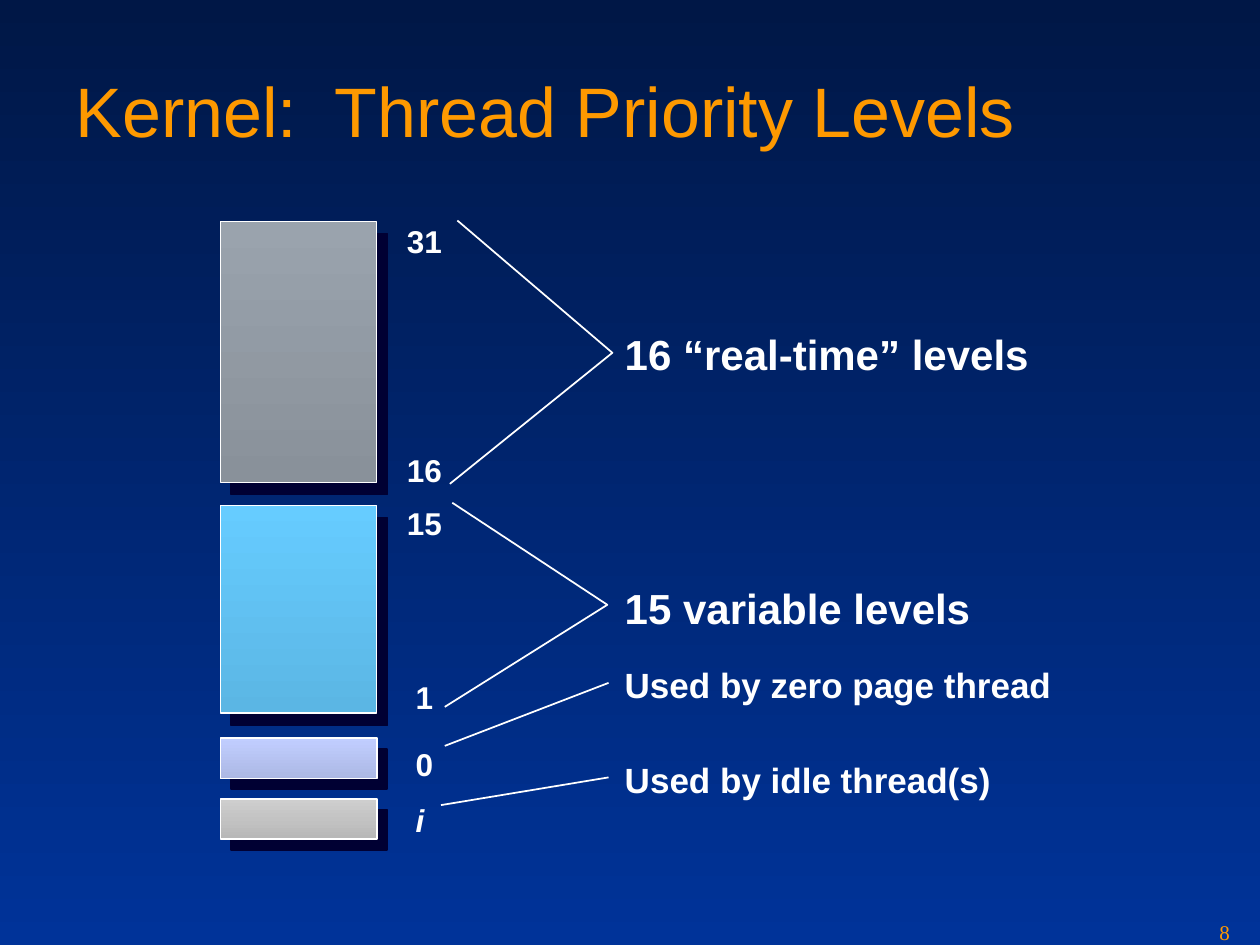
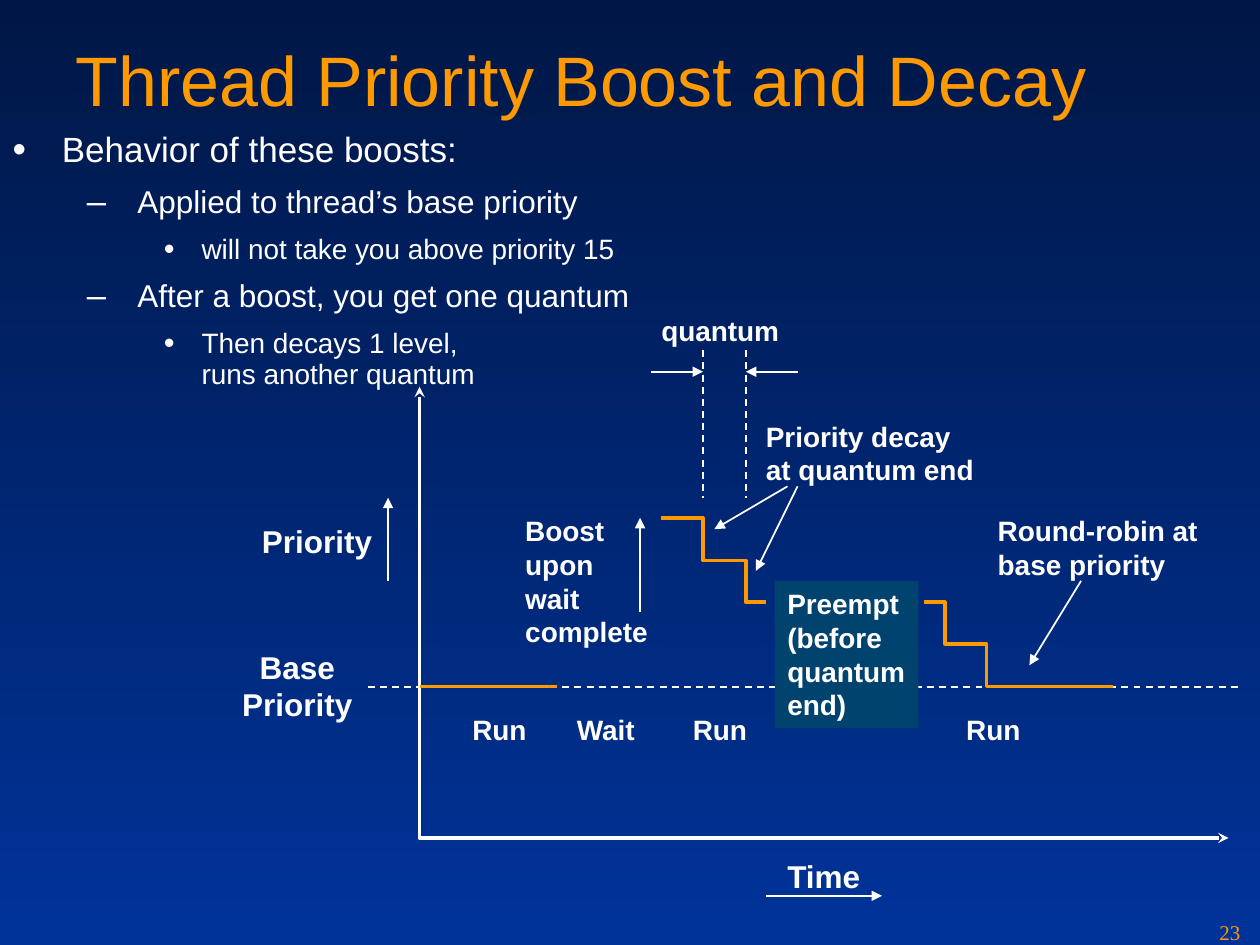
from dataclasses import dataclass
from typing import NamedTuple, Optional

from pptx import Presentation
from pptx.dml.color import RGBColor
from pptx.enum.dml import MSO_LINE
from pptx.enum.shapes import MSO_CONNECTOR as CONNECTOR, MSO_SHAPE as SHAPE
from pptx.enum.text import MSO_ANCHOR as ANCHOR, MSO_AUTO_SIZE as AUTO_SIZE, PP_ALIGN as ALIGN
from pptx.oxml.ns import qn
from pptx.util import Emu, Pt
from lxml.etree import SubElement

PX = 9144  # EMU in one px, 100 px to the inch


def px(length: int) -> Emu:
    return Emu(length * PX)


# Theme and element descriptions
@dataclass(frozen=True)
class Theme:
    font: str = "Arial"
    number_font: str = "Times New Roman"
    page_top: str = "001746"
    page_bottom: str = "003399"
    accent: str = "FE9900"
    white: str = "FFFFFF"
    shadow: str = "000033"
    preempt: str = "00436E"
    title_size: int = 40
    heading_size: int = 24
    note_size: int = 20
    label_size: int = 18
    small_size: int = 16
    number_size: int = 12


THEME = Theme()


class Box(NamedTuple):
    left: int
    top: int
    width: int
    height: int


class Point(NamedTuple):
    x: int
    y: int


@dataclass(frozen=True)
class Label:
    text: str
    box: Box
    size: int = THEME.small_size
    align: ALIGN = ALIGN.LEFT
    anchor: ANCHOR = ANCHOR.TOP
    wrap: bool = False
    bold: bool = True
    italic: bool = False
    color: str = THEME.white
    font: str = THEME.font
    fill: Optional[str] = None


@dataclass(frozen=True)
class Stroke:
    points: list[Point]
    color: str = THEME.white
    width: float = 1
    dashed: bool = False
    head: Optional[str] = None
    tail: Optional[str] = None


class Band(NamedTuple):
    top: int
    height: int
    start: str
    end: str
    line_width: float
    shadow_distance: float
    shadow_angle: int


class Level(NamedTuple):
    size: int
    mark: str
    margin: int
    hanging: int
    space: float


LEVELS = [
    Level(20, "•", 39, 39, 5),
    Level(18, "–", 99, 40, 4.5),
    Level(16, "•", 150, 30, 4),
]


# Drawing functions
def rgb(color: str) -> RGBColor:
    return RGBColor.from_string(color)


def fill_gradient(fill, start: str, end: str) -> None:
    fill.gradient()
    fill.gradient_angle = 270
    for stop, color in zip(fill.gradient_stops, (start, end)):
        stop.color.rgb = rgb(color)


def place(shape, box: Box) -> None:
    shape.left, shape.top, shape.width, shape.height = map(px, box)


def format_font(font, name: str, size: int, color: str) -> None:
    font.name = name
    font.size = Pt(size)
    font.color.rgb = rgb(color)


def add_label(page, label: Label) -> None:
    shape = page.shapes.add_textbox(*map(px, label.box))
    if label.fill:
        shape.fill.solid()
        shape.fill.fore_color.rgb = rgb(label.fill)
    frame = shape.text_frame
    frame.text = label.text
    frame.word_wrap = label.wrap
    frame.vertical_anchor = label.anchor
    for para in frame.paragraphs:
        para.alignment = label.align
        for span in para.runs:
            format_font(span.font, label.font, label.size, label.color)
            span.font.bold = label.bold
            span.font.italic = label.italic


def add_stroke(page, stroke: Stroke) -> None:
    start, *others = stroke.points
    if len(others) == 1:
        shape = page.shapes.add_connector(
            CONNECTOR.STRAIGHT, *map(px, start), *map(px, others[0]))
    else:
        builder = page.shapes.build_freeform(*start, scale=PX)
        builder.add_line_segments(others, close=False)
        shape = builder.convert_to_shape()
        shape.fill.background()
    shape.line.color.rgb = rgb(stroke.color)
    shape.line.width = Pt(stroke.width)
    if stroke.dashed:
        shape.line.dash_style = MSO_LINE.DASH
    properties = shape.element.spPr
    outline = properties.find(qn("a:ln"))
    for tag, kind in (("a:headEnd", stroke.head), ("a:tailEnd", stroke.tail)):
        if kind:
            SubElement(outline, qn(tag), type=kind)
    SubElement(properties, qn("a:effectLst"))


def add_band(page, band: Band) -> None:
    shape = page.shapes.add_shape(
        SHAPE.RECTANGLE, *map(px, Box(175, band.top, 124, band.height)))
    fill_gradient(shape.fill, band.start, band.end)
    shape.line.color.rgb = rgb(THEME.white)
    shape.line.width = Pt(band.line_width)
    shape.shadow.inherit = False
    effects = shape.element.spPr.find(qn("a:effectLst"))
    shadow = SubElement(effects, qn("a:outerShdw"), dist=str(Pt(band.shadow_distance)),
                        dir=str(band.shadow_angle * 60000), algn="ctr", rotWithShape="0")
    SubElement(shadow, qn("a:srgbClr"), val=THEME.shadow)


def add_page(deck, layout: int, title: str, anchor: ANCHOR, number: int):
    page = deck.slides.add_slide(deck.slide_layouts[layout])
    shape = page.shapes.title
    place(shape, Box(50, 24, 900, 125))
    frame = shape.text_frame
    frame.text = title
    frame.auto_size = AUTO_SIZE.NONE
    frame.vertical_anchor = anchor
    para = frame.paragraphs[0]
    para.alignment = ALIGN.LEFT
    format_font(para.runs[0].font, THEME.font, THEME.title_size, THEME.accent)
    add_label(page, Label(str(number), Box(958, 725, 42, 25), THEME.number_size, wrap=True,
                          bold=False, color=THEME.accent, font=THEME.number_font))
    return page


def fill_bullets(shape, items: list[tuple[int, str]]) -> None:
    frame = shape.text_frame
    frame.text = "\n".join(text for _, text in items)
    frame.auto_size = AUTO_SIZE.NONE
    frame.vertical_anchor = ANCHOR.TOP
    for index, (para, (depth, _)) in enumerate(zip(frame.paragraphs, items)):
        level = LEVELS[depth]
        para.level = depth
        properties = para._p.get_or_add_pPr()
        properties.set("marL", str(px(level.margin)))
        properties.set("indent", str(px(-level.hanging)))
        color = SubElement(properties, qn("a:buClr"))
        SubElement(color, qn("a:srgbClr"), val=THEME.white)
        SubElement(properties, qn("a:buSzPct"), val="110000")
        SubElement(properties, qn("a:buFont"), typeface=THEME.font)
        SubElement(properties, qn("a:buChar"), char=level.mark)
        para.alignment = ALIGN.LEFT
        para.line_spacing = 0.9
        para.space_before = Pt(level.space if index else 0)
        para.space_after = Pt(level.space)
        for span in para.runs:
            format_font(span.font, THEME.font, level.size, THEME.white)


# Slides
def build_levels_page(deck) -> None:
    page = add_page(deck, 5, "Kernel:  Thread Priority Levels", ANCHOR.MIDDLE, 8)

    for band in (
        Band(176, 207, "9AA3AD", "89919A", 0.75, 9.2, 49),
        Band(401, 165, "66CCFF", "5BB6E4", 0.75, 9.2, 49),
        Band(586, 32, "C1CEFF", "ACB8E4", 1, 8.5, 45),
        Band(634, 32, "CECECE", "B8B8B8", 1, 8.5, 45),
    ):
        add_band(page, band)

    # Priority numbers beside the bands
    for text, left, top in (("31", 313, 171), ("16", 313, 353), ("15", 313, 395),
                            ("1", 320, 533), ("0", 320, 586), ("i", 320, 631)):
        add_label(page, Label(text, Box(left, top, 58, 40), THEME.label_size,
                              anchor=ANCHOR.MIDDLE, wrap=True, italic=text == "i"))

    # Meanings of the bands
    for text, top, width, height, size in (
        ("16 “real-time” levels", 227, 392, 108, THEME.heading_size),
        ("15 variable levels", 442, 392, 80, THEME.heading_size),
        ("Used by zero page thread", 522, 417, 43, THEME.note_size),
        ("Used by idle thread(s)", 597, 442, 43, THEME.note_size),
    ):
        add_label(page, Label(text, Box(486, top, width, height), size,
                              anchor=ANCHOR.MIDDLE, wrap=True))

    # Brackets and leader lines
    for points in (
        [Point(363, 175), Point(486, 280), Point(357, 384)],
        [Point(359, 399), Point(482, 480), Point(353, 561)],
        [Point(353, 592), Point(483, 542)],
        [Point(350, 639), Point(483, 617)],
    ):
        add_stroke(page, Stroke(points))


def build_boost_page(deck) -> None:
    page = add_page(deck, 1, "Thread Priority Boost and Decay", ANCHOR.TOP, 23)
    body = page.placeholders[1]
    place(body, Box(0, 100, 600, 233))
    fill_bullets(body, [
        (0, "Behavior of these boosts:"),
        (1, "Applied to thread’s base priority"),
        (2, "will not take you above priority 15"),
        (1, "After a boost, you get one quantum"),
        (2, "Then decays 1 level,\vruns another quantum"),
    ])

    # Base priority line and axes
    base = 545
    add_stroke(page, Stroke([Point(292, base), Point(983, base)], dashed=True))
    add_stroke(page, Stroke([Point(333, 307), Point(333, 665), Point(975, 665)],
                            width=2, head="stealth", tail="stealth"))

    # Priority over time
    for points in (
        [Point(333, base), Point(442, base)],
        [Point(525, 411), Point(558, 411), Point(558, 445),
         Point(592, 445), Point(592, 478), Point(608, 478)],
        [Point(733, 478), Point(750, 478), Point(750, 511),
         Point(783, 511), Point(783, base), Point(883, base)],
    ):
        add_stroke(page, Stroke(points, THEME.accent, 2))

    # Quantum limits
    for x in (558, 592):
        add_stroke(page, Stroke([Point(x, 278), Point(x, 395)], dashed=True))

    # Arrows
    for start, end in (
        (Point(308, 461), Point(308, 395)),
        (Point(508, 486), Point(508, 411)),
        (Point(625, 386), Point(567, 420)),
        (Point(633, 386), Point(600, 453)),
        (Point(858, 461), Point(817, 528)),
        (Point(517, 295), Point(558, 295)),
        (Point(633, 295), Point(592, 295)),
        (Point(608, 711), Point(700, 711)),
    ):
        add_stroke(page, Stroke([start, end], tail="triangle"))

    # Axis names, states and remarks
    for text, left, width in (("Run", 365, 63), ("Wait", 448, 67),
                              ("Run", 540, 63), ("Run", 757, 63)):
        add_label(page, Label(text, Box(left, 561, width, 37)))
    for label in (
        Label("Priority", Box(198, 409, 108, 40), THEME.label_size),
        Label("Base\nPriority", Box(182, 509, 108, 70), THEME.label_size, ALIGN.CENTER),
        Label("Time", Box(615, 675, 79, 40), THEME.label_size),
        Label("quantum", Box(515, 244, 114, 37)),
        Label("Priority decay\nat quantum end", Box(598, 328, 185, 63)),
        Label("Boost\nupon\nwait\ncomplete", Box(407, 403, 118, 117)),
        Label("Round-robin at\nbase priority", Box(782, 403, 179, 63)),
        Label("Preempt\n(before\nquantum\nend)", Box(615, 461, 114, 117), fill=THEME.preempt),
    ):
        add_label(page, label)


def main() -> None:
    deck = Presentation()
    deck.slide_width, deck.slide_height = px(1000), px(750)
    fill_gradient(deck.slide_master.background.fill, THEME.page_top, THEME.page_bottom)
    build_levels_page(deck)
    build_boost_page(deck)
    deck.save("out.pptx")


if __name__ == "__main__":
    main()
